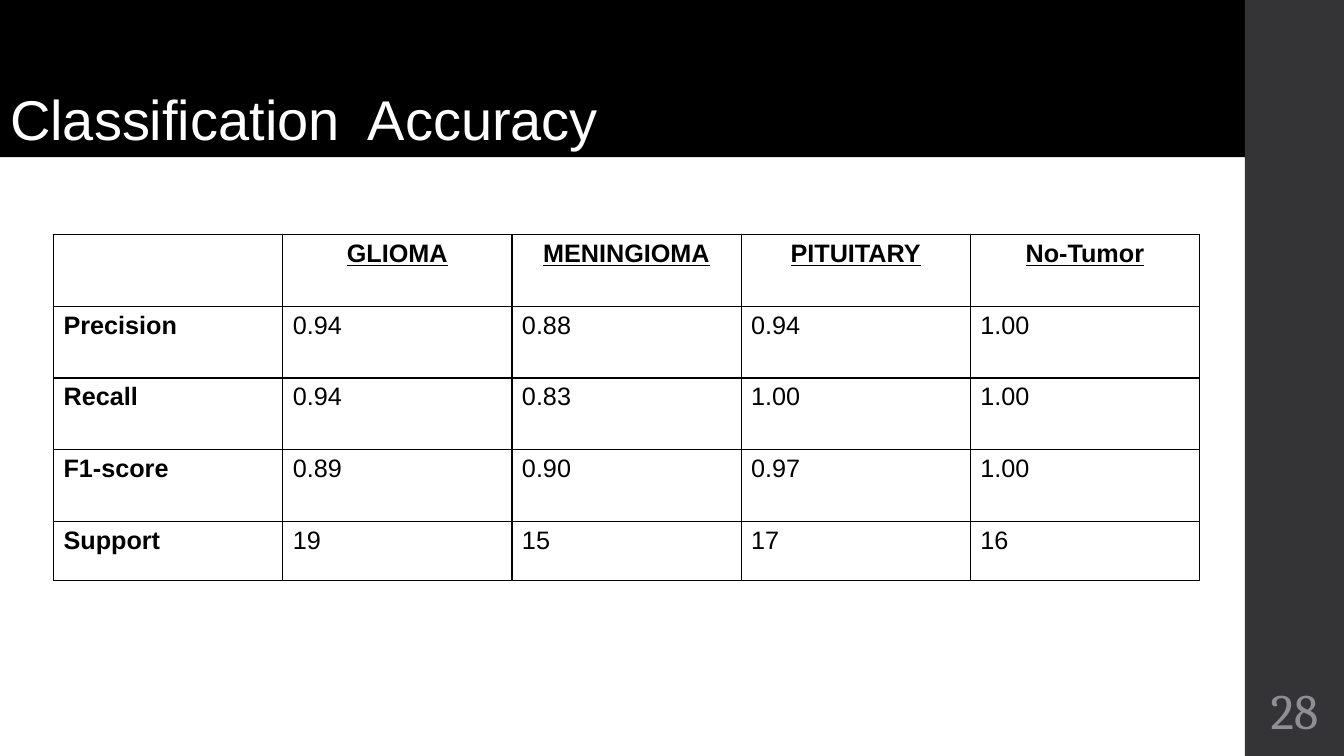
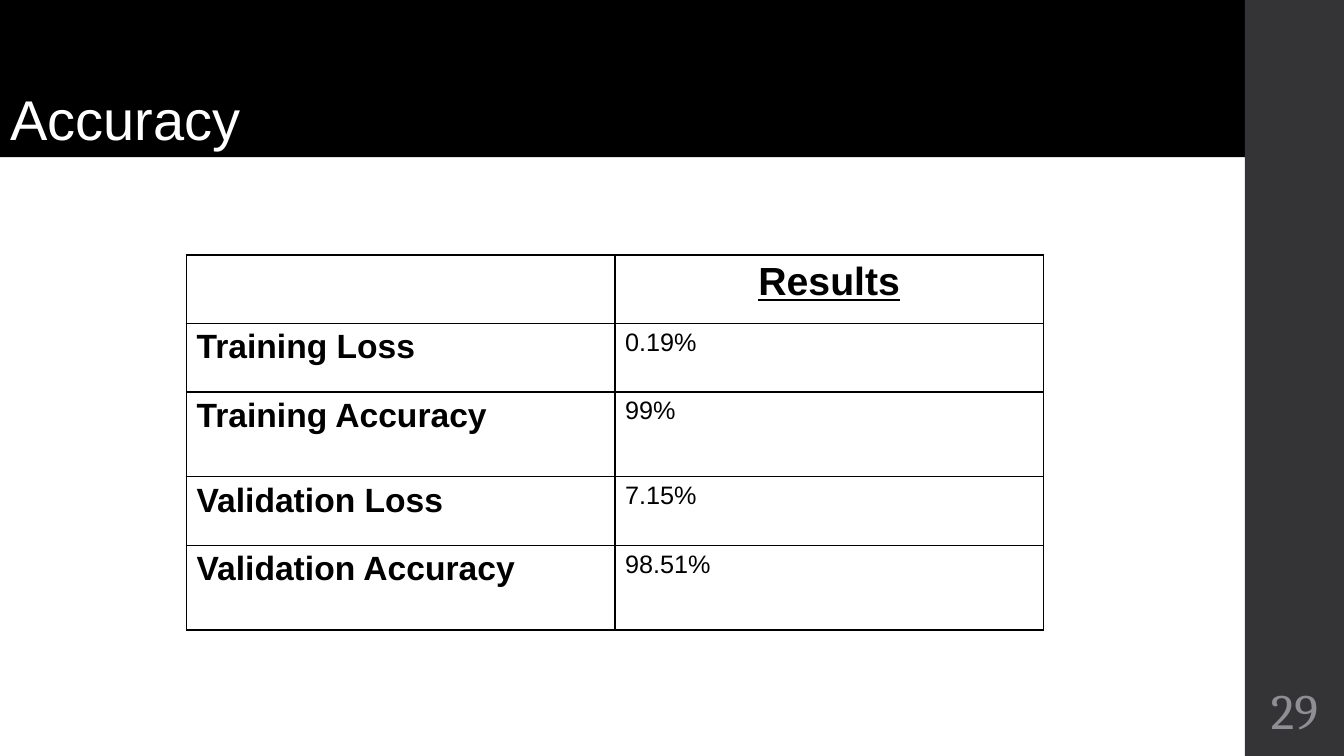
from lxml.etree import SubElement
from pptx import Presentation
from pptx.dml.color import RGBColor
from pptx.enum.shapes import MSO_SHAPE
from pptx.enum.text import MSO_ANCHOR, MSO_AUTO_SIZE, PP_ALIGN
from pptx.oxml.ns import qn
from pptx.util import Inches, Pt

COLORS = {
    "title_band": "000000",
    "side_band": "343437",
    "title": "FFFFFF",
    "number": "8E8E93",
    "ink": "000000",
    "paper": "FFFFFF",
}
TITLE_LAYOUT = 5
# Shares of the slide's size, in percent
MAIN_WIDTH = 92.63
SIDE_WIDTH = 100 - MAIN_WIDTH
TITLE_HEIGHT = 20.8


def color(name):
    return RGBColor.from_string(COLORS[name])


class ResultDeck:
    """Holds the style and the current slide; lengths are percent of the slide."""

    def __init__(self):
        self.deck = Presentation()
        self.deck.slide_width = Inches(13.33)
        self.deck.slide_height = Inches(7.5)
        self.page = None

    def across(self, share):
        return round(self.deck.slide_width * share / 100)

    def down(self, share):
        return round(self.deck.slide_height * share / 100)

    def area(self, left, top, width, height):
        return (self.across(left), self.down(top),
                self.across(width), self.down(height))

    def add_page(self, title, number):
        self.page = self.deck.slides.add_slide(
            self.deck.slide_layouts[TITLE_LAYOUT])
        self.add_side_band()
        self.add_title(title)
        self.add_number(number)

    def add_side_band(self):
        band = self.page.shapes.add_shape(
            MSO_SHAPE.RECTANGLE, *self.area(MAIN_WIDTH, 0, SIDE_WIDTH, 100))
        band.shadow.inherit = False
        band.fill.solid()
        band.fill.fore_color.rgb = color("side_band")
        band.line.fill.background()

    def add_title(self, text):
        title = self.page.shapes.title
        title.left, title.top, title.width, title.height = self.area(
            0, 0, MAIN_WIDTH, TITLE_HEIGHT)
        title.fill.solid()
        title.fill.fore_color.rgb = color("title_band")
        self.set_text(title.text_frame, text, 40, "title",
                      anchor=MSO_ANCHOR.BOTTOM)

    def add_number(self, number):
        box = self.page.shapes.add_textbox(
            *self.area(MAIN_WIDTH, 90, SIDE_WIDTH, 8.67))
        frame = box.text_frame
        frame.margin_left = frame.margin_right = Inches(0.05)
        self.set_text(frame, str(number), 35.5, "number", "Cambria",
                      PP_ALIGN.CENTER, MSO_ANCHOR.MIDDLE)

    def set_text(self, frame, text, size, ink, face="Arial",
                 align=PP_ALIGN.LEFT, anchor=MSO_ANCHOR.TOP):
        frame.word_wrap = True
        frame.auto_size = MSO_AUTO_SIZE.NONE
        frame.vertical_anchor = anchor
        frame.text = text
        para = frame.paragraphs[0]
        para.line_spacing = 0.9
        self.style_para(para, size, ink, face, align)

    def style_para(self, para, size, ink, face="Arial", align=PP_ALIGN.LEFT):
        para.alignment = align
        para.font.size = Pt(size)
        para.font.name = face
        para.font.color.rgb = color(ink)

    def add_table(self, left, top, width, row_heights, rows,
                  header_size=18, label_size=18, value_size=18):
        """Adds a ruled table with underlined column heads and bold row labels."""
        columns = len(rows[0])
        table = self.page.shapes.add_table(
            len(rows), columns,
            *self.area(left, top, width, sum(row_heights))).table
        table.first_row = table.horz_banding = False
        for column in table.columns:
            column.width = self.across(width / columns)
        for row_index, (height, texts) in enumerate(zip(row_heights, rows)):
            table.rows[row_index].height = self.down(height)
            for column_index, text in enumerate(texts):
                cell = table.cell(row_index, column_index)
                self.rule_cell(cell)
                cell.text = text
                para = cell.text_frame.paragraphs[0]
                if row_index == 0:
                    self.style_para(para, header_size, "ink",
                                    align=PP_ALIGN.CENTER)
                    para.font.underline = True
                else:
                    size = value_size if column_index else label_size
                    self.style_para(para, size, "ink")
                para.font.bold = row_index == 0 or column_index == 0

    def rule_cell(self, cell):
        """Draws the four borders, then the fill that must follow them."""
        properties = cell._tc.get_or_add_tcPr()
        for side in ("lnL", "lnR", "lnT", "lnB"):
            line = SubElement(properties, qn(f"a:{side}"), w=str(Pt(0.96)))
            fill = SubElement(line, qn("a:solidFill"))
            SubElement(fill, qn("a:srgbClr"), val=COLORS["ink"])
        cell.fill.solid()
        cell.fill.fore_color.rgb = color("paper")


def main():
    results = ResultDeck()

    results.add_page("Classification  Accuracy", 28)
    results.add_table(3.98, 31.07, 85.28, [9.47] * 4 + [7.87], [
        ["", "GLIOMA", "MENINGIOMA", "PITUITARY", "No-Tumor"],
        ["Precision", "0.94", "0.88", "0.94", "1.00"],
        ["Recall", "0.94", "0.83", "1.00", "1.00"],
        ["F1-score", "0.89", "0.90", "0.97", "1.00"],
        ["Support", "19", "15", "17", "16"],
    ])

    results.add_page("Accuracy", 29)
    results.add_table(13.88, 33.73, 63.75, [9.07, 9.07, 11.2, 9.07, 11.2], [
        ["", "Results"],
        ["Training Loss", "0.19%"],
        ["Training Accuracy", "99%"],
        ["Validation Loss", "7.15%"],
        ["Validation Accuracy", "98.51%"],
    ], header_size=28, label_size=24)

    results.deck.save("out.pptx")


if __name__ == "__main__":
    main()
